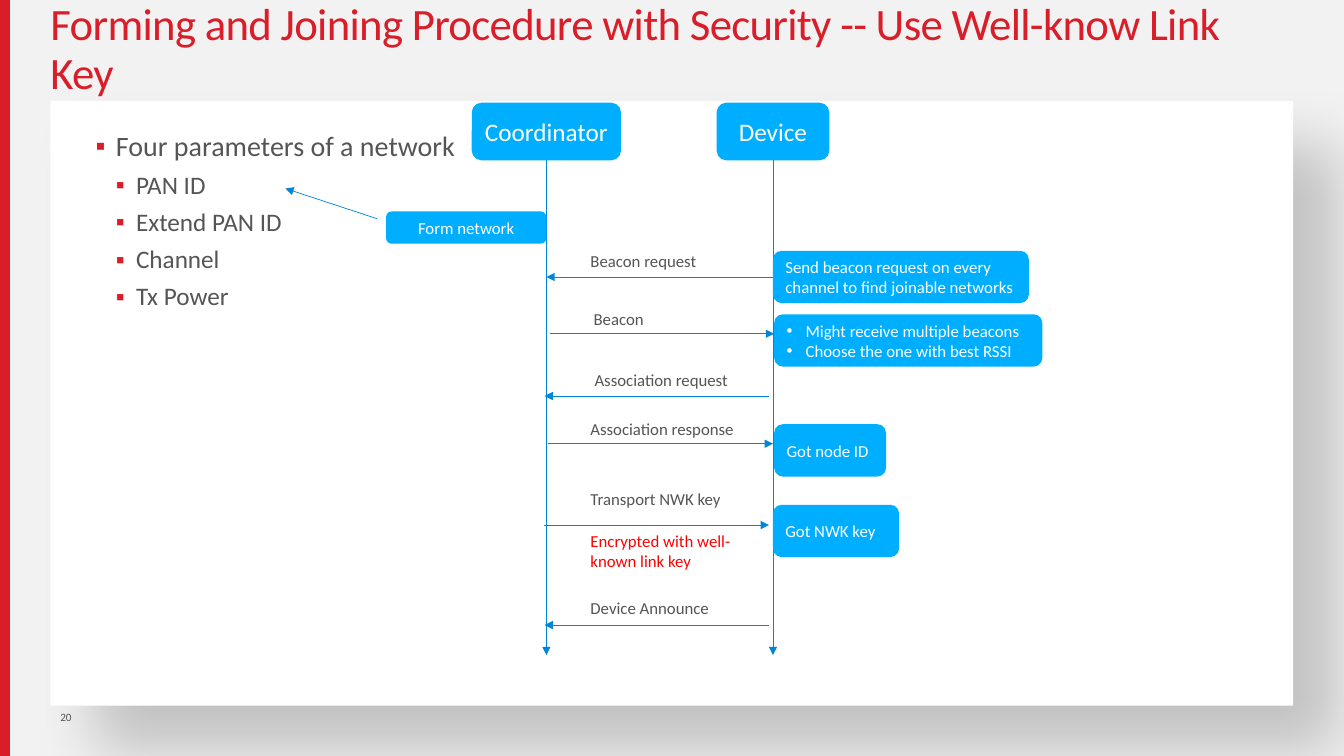
from dataclasses import dataclass

from lxml.etree import SubElement
from pptx import Presentation
from pptx.dml.color import RGBColor
from pptx.enum.shapes import MSO_CONNECTOR, MSO_SHAPE
from pptx.enum.text import MSO_ANCHOR, MSO_AUTO_SIZE, PP_ALIGN
from pptx.oxml.ns import qn
from pptx.util import Cm, Pt


@dataclass(frozen=True)
class Theme:
    font: str = "Calibri"
    background: str = "F2F2F2"
    accent: str = "D91E2A"
    panel: str = "FFFFFF"
    text: str = "555555"
    box: str = "00AEFF"
    box_text: str = "FFFFFF"
    line: str = "0086D9"
    warning: str = "FF0000"
    title_size: float = 32
    list_size: float = 20
    head_size: float = 18
    body_size: float = 12
    number_size: float = 8
    line_width: float = 0.5


@dataclass(frozen=True)
class Box:
    """Lengths in centimetres."""
    left: float
    top: float
    width: float
    height: float

    def emu(self):
        return Cm(self.left), Cm(self.top), Cm(self.width), Cm(self.height)

    def inner(self, left, top, width, height):
        return Box(self.left + left, self.top + top, width, height)


THEME = Theme()
WIDTH, HEIGHT = 33.87, 19.05


# Basic parts
def add_run(paragraph, words, size, color):
    run = paragraph.add_run()
    run.text = words
    run.font.name = THEME.font
    run.font.size = Pt(size)
    run.font.color.rgb = RGBColor.from_string(color)
    return run


def add_bullet(paragraph, char, indent, color=None):
    props = paragraph._p.get_or_add_pPr()
    props.set("marL", str(Cm(indent * (paragraph.level + 1))))
    props.set("indent", str(-Cm(indent)))
    if color:
        SubElement(SubElement(props, qn("a:buClr")), qn("a:srgbClr"), val=color)
    SubElement(props, qn("a:buFont"), typeface="Arial")
    SubElement(props, qn("a:buChar"), char=char)


def add_text(slide, box, words, size, color, anchor=MSO_ANCHOR.TOP, align=None):
    frame = slide.shapes.add_textbox(*box.emu()).text_frame
    frame.word_wrap = True
    frame.vertical_anchor = anchor
    paragraph = frame.paragraphs[0]
    paragraph.alignment = align
    add_run(paragraph, words, size, color)
    return frame


def add_block(slide, box, kind, fill):
    block = slide.shapes.add_shape(kind, *box.emu())
    block.shadow.inherit = False
    block.fill.solid()
    block.fill.fore_color.rgb = RGBColor.from_string(fill)
    block.line.fill.background()
    return block


def add_card(slide, box, lines, size, align=PP_ALIGN.CENTER):
    card = add_block(slide, box, MSO_SHAPE.ROUNDED_RECTANGLE, THEME.box)
    frame = card.text_frame
    frame.word_wrap = True
    frame.vertical_anchor = MSO_ANCHOR.MIDDLE
    for index, words in enumerate(lines):
        paragraph = frame.add_paragraph() if index else frame.paragraphs[0]
        paragraph.alignment = align
        if len(lines) > 1:
            add_bullet(paragraph, "•", 0.48)
        add_run(paragraph, words, size, THEME.box_text)
    return card


def add_arrow(slide, x1, y1, x2, y2):
    arrow = slide.shapes.add_connector(
        MSO_CONNECTOR.STRAIGHT, Cm(x1), Cm(y1), Cm(x2), Cm(y2))
    arrow.line.color.rgb = RGBColor.from_string(THEME.line)
    arrow.line.width = Pt(THEME.line_width)
    SubElement(arrow.line._get_or_add_ln(), qn("a:tailEnd"), type="triangle")
    SubElement(arrow._element.spPr, qn("a:effectLst"))
    return arrow


# Regions of the slide
def add_backdrop(slide, box):
    slide.background.fill.solid()
    slide.background.fill.fore_color.rgb = RGBColor.from_string(THEME.background)
    add_block(slide, box.inner(0, 0, 0.25, box.height), MSO_SHAPE.RECTANGLE, THEME.accent)
    panel = add_block(slide, box.inner(1.27, 2.54, 31.32, 15.24),
                      MSO_SHAPE.RECTANGLE, THEME.panel)
    effects = panel._element.spPr.find(qn("a:effectLst"))
    shadow = SubElement(effects, qn("a:outerShdw"), blurRad=str(Pt(45)),
                        dist=str(Pt(45)), dir="2700000", algn="tl", rotWithShape="0")
    color = SubElement(shadow, qn("a:srgbClr"), val="000000")
    SubElement(color, qn("a:alpha"), val="20000")


def add_title(slide, box):
    frame = add_text(
        slide, box, "Forming and Joining Procedure with Security -- Use Well-know Link Key",
        THEME.title_size, THEME.accent, MSO_ANCHOR.MIDDLE)
    paragraph = frame.paragraphs[0]
    paragraph.line_spacing = 0.9
    paragraph.runs[0].font._element.set("spc", "-50")


def add_parameters(slide, box):
    frame = add_text(slide, box, "Four parameters of a network",
                     THEME.list_size, THEME.text)
    for words in ("PAN ID", "Extend PAN ID", "Channel", "Tx Power"):
        paragraph = frame.add_paragraph()
        paragraph.level = 1
        add_run(paragraph, words, THEME.head_size, THEME.text)
    for paragraph in frame.paragraphs:
        add_bullet(paragraph, "▪", 0.51, THEME.accent)
        paragraph.line_spacing = 0.95
        paragraph.space_before = Pt(6 if paragraph.level else 12)


def add_label(slide, box, words, color=THEME.text, align=None):
    frame = add_text(slide, box, words, THEME.body_size, color, MSO_ANCHOR.MIDDLE, align)
    frame.auto_size = MSO_AUTO_SIZE.SHAPE_TO_FIT_TEXT


def add_sequence(slide, box):
    """The box's left and right edges are the two lifelines."""
    # Participants and lifelines
    for name, axis, width in (("Coordinator", 0, 3.76), ("Device", box.width, 2.84)):
        head = add_card(slide, box.inner(axis - width / 2, 0, width, 1.45),
                        [name], THEME.head_size)
        x = box.left + axis
        lifeline = add_arrow(slide, x, box.top + 1.45, x, box.top + box.height)
        lifeline.begin_connect(head, 2)

    # Forming the network
    add_card(slide, box.inner(-4.04, 2.74, 4.04, 0.81), ["Form network"], THEME.body_size)
    add_arrow(slide, box.left - 4.27, box.top + 2.92, box.left - 6.58, box.top + 2.16)

    # Messages: label, label left, top and width, arrow height, arrow shift, to device
    messages = (
        ("Beacon request", 0.86, 3.61, 3.51, 4.39, 0, False),
        ("Beacon", 0.94, 5.05, 2.87, 5.82, 0.08, True),
        ("Association request", 0.94, 6.6, 3.91, 7.39, -0.05, False),
        ("Association response", 0.86, 7.82, 4.47, 8.59, 0.05, True),
        ("Transport NWK key", 0.86, 9.6, 4.47, 10.64, -0.05, True),
        ("Device Announce", 0.86, 12.34, 4.47, 13.16, -0.05, False),
    )
    arrows = {}
    for words, left, top, width, height, shift, to_device in messages:
        align = PP_ALIGN.CENTER if words == "Association request" else None
        add_label(slide, box.inner(left, top, width, 0.77), words, align=align)
        start, end = box.left + shift, box.left + shift + 5.66
        if not to_device:
            start, end = end, start
        y = box.top + height
        arrows[words] = add_arrow(slide, start, y, end, y)
    add_label(slide, box.inner(0.86, 10.64, 4.47, 1.28),
              "Encrypted with well-known link key", THEME.warning)

    # Notes beside the device: lines, shift, top, width
    notes = (
        (["Send beacon request on every channel to find joinable networks"], 0, 3.73, 6.45),
        (["Might receive multiple beacons", "Choose the one with best RSSI"], 0.03, 5.33, 6.76),
        (["Got node ID"], 0.03, 8.1, 2.82),
        (["Got NWK key"], 0, 10.13, 3.18),
    )
    cards = [add_card(slide, box.inner(box.width + shift, top, width, 1.32),
                      lines, THEME.body_size, PP_ALIGN.LEFT)
             for lines, shift, top, width in notes]
    arrows["Beacon request"].begin_connect(cards[0], 1)


def main():
    deck = Presentation()
    deck.slide_width, deck.slide_height = Cm(WIDTH), Cm(HEIGHT)
    slide = deck.slides.add_slide(deck.slide_layouts[6])
    add_backdrop(slide, Box(0, 0, WIDTH, HEIGHT))
    add_title(slide, Box(1.02, 0, 31.57, 2.54))
    add_text(slide, Box(1.27, 17.78, 0.89, 1.27), "20", THEME.number_size, THEME.text)
    add_parameters(slide, Box(2.16, 3.18, 10.34, 5.18))
    add_sequence(slide, Box(13.77, 2.59, 5.71, 13.92))
    deck.save("out.pptx")


if __name__ == "__main__":
    main()
